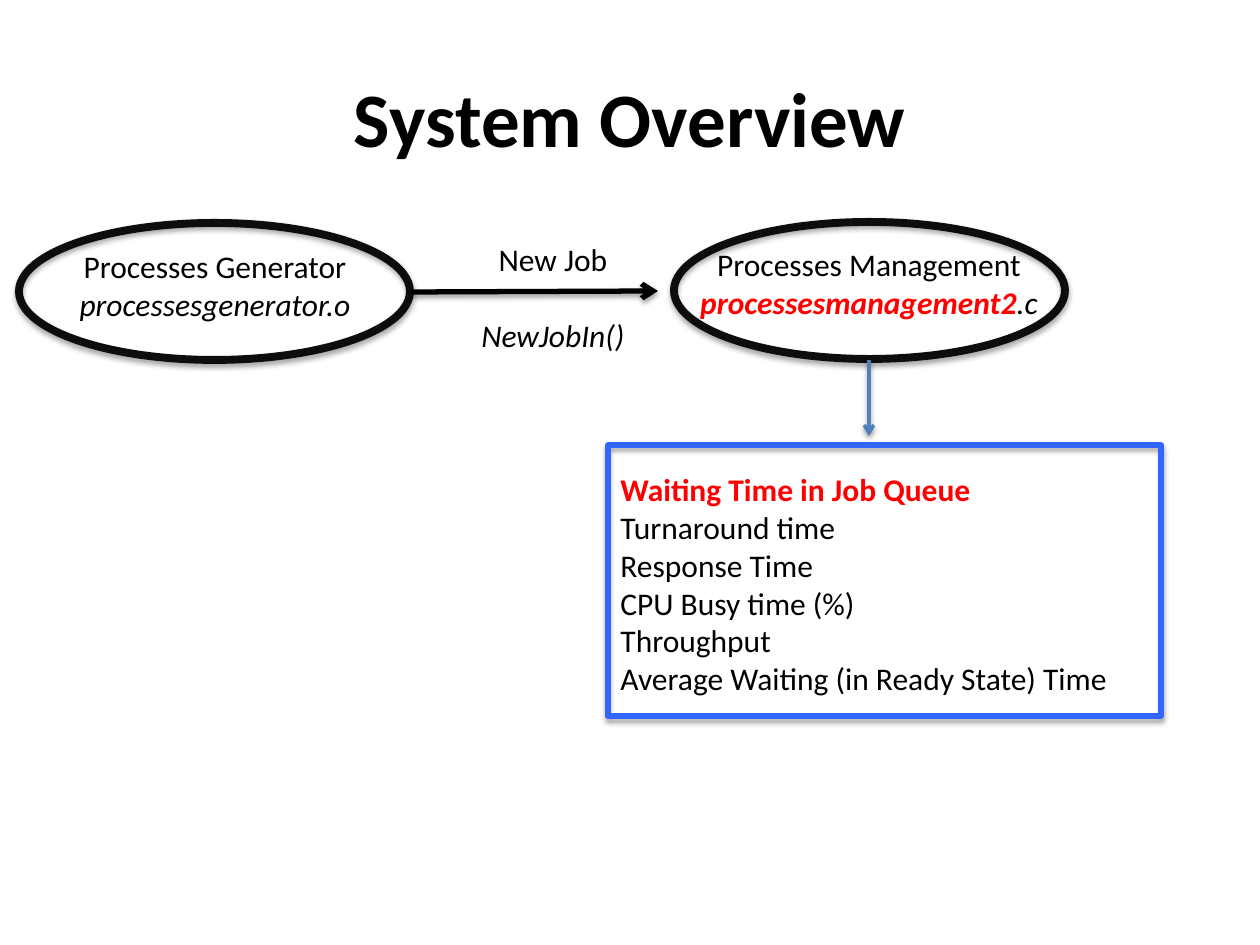
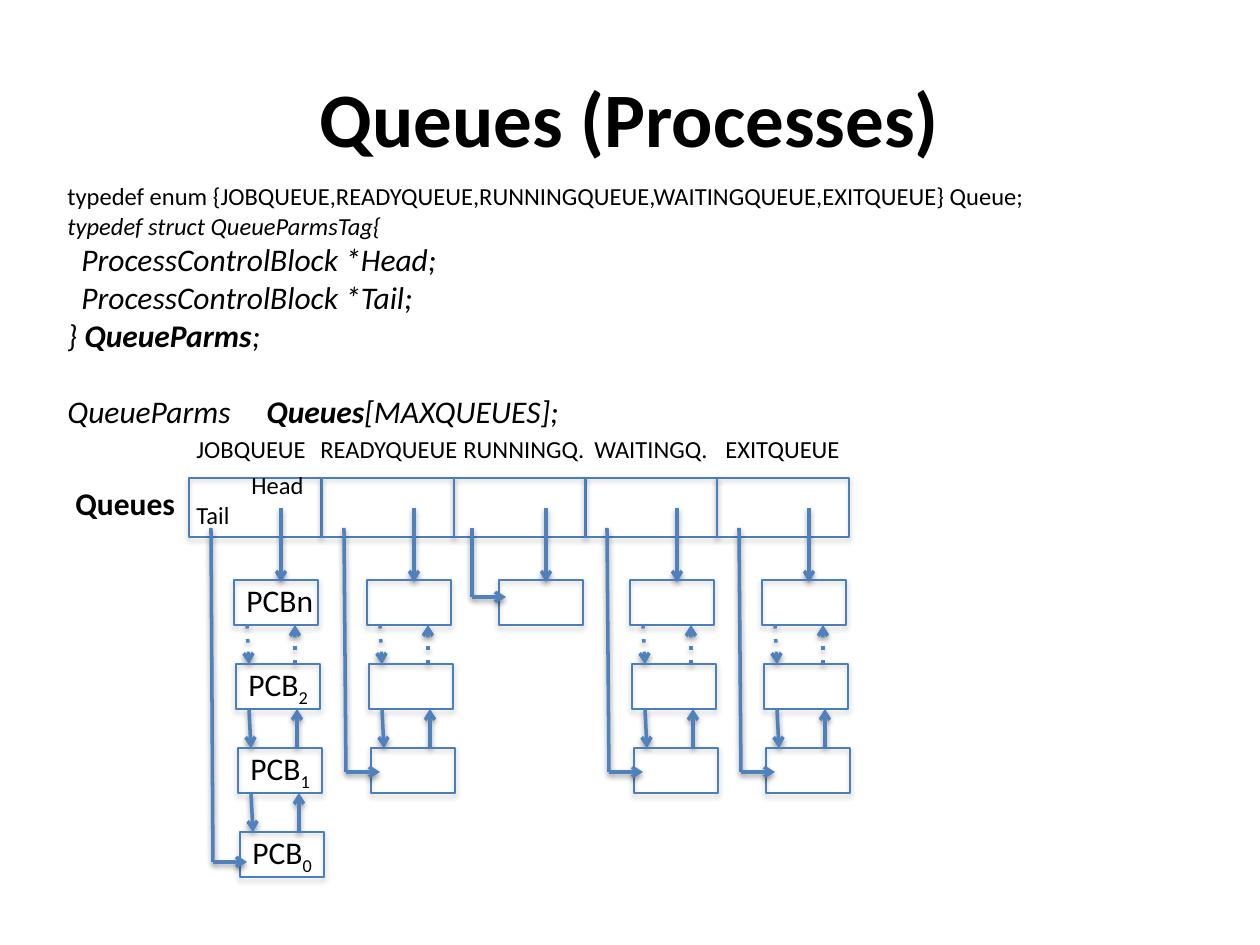
"""Builds two slides: a system overview and the process queues."""
import pptx
import pptx.dml.color
import pptx.enum.shapes
import pptx.enum.text
import pptx.oxml.ns
import pptx.util
from lxml import etree

SCALE = 914400 / 126
FONT = "Calibri"
BLACK, RED, BLUE, EDGE = "000000", "FF0000", "4F81BD", "4B7EBC"
RING, FRAME = "0D0D0D", "3366FF"
BLANK_ROW = 22  # height in points of one 18 pt line
LEFT = pptx.enum.text.PP_ALIGN.LEFT
MID = pptx.enum.text.PP_ALIGN.CENTER
RECT = pptx.enum.shapes.MSO_SHAPE.RECTANGLE
OVAL = pptx.enum.shapes.MSO_SHAPE.OVAL


def px(num):
    """Turn pixels into EMU."""
    return pptx.util.Emu(round(num * SCALE))


def color(code):
    """Turn a hex string into a colour."""
    return pptx.dml.color.RGBColor.from_string(code)


def child(node, tag, **attrs):
    """Add a drawing element with the given attributes."""
    return etree.SubElement(node, pptx.oxml.ns.qn("a:" + tag), attrs)


def row(*runs, size=None, gap=0, indent=0, tab=0):
    """Describe one paragraph; a run is a string or (string, flags)."""
    runs = [(run, "") if isinstance(run, str) else run for run in runs]
    return dict(runs=runs, size=size, gap=gap, indent=indent, tab=tab)


class Deck:
    """Holds the style and the current slide."""

    def __init__(self):
        """Start an empty deck."""
        self.show = pptx.Presentation()
        self.show.slide_width, self.show.slide_height = px(1260), px(945)
        self.slide = None

    def page(self, title):
        """Start a slide with its title."""
        self.slide = self.show.slides.add_slide(self.show.slide_layouts[6])
        frame = self.text(63, 38, 1134, 158, [row((title, "b"))], 44, MID)
        frame.auto_size = pptx.enum.text.MSO_AUTO_SIZE.NONE
        frame.word_wrap = True
        frame.vertical_anchor = pptx.enum.text.MSO_ANCHOR.MIDDLE

    def text(self, x, y, wide, high, rows, size=18, align=LEFT):
        """Add a text box; run flags: b bold, i italic, r red, s subscript."""
        box = self.slide.shapes.add_textbox(px(x), px(y), px(wide), px(high))
        frame = box.text_frame
        frame.word_wrap = False
        frame.auto_size = pptx.enum.text.MSO_AUTO_SIZE.SHAPE_TO_FIT_TEXT
        for at, item in enumerate(rows):
            para = frame.add_paragraph() if at else frame.paragraphs[0]
            para.alignment = align
            if item["gap"]:
                para.space_before = pptx.util.Pt(item["gap"])
            props = para._p.get_or_add_pPr()
            if item["indent"]:
                props.set("marL", str(px(item["indent"])))
            if item["tab"]:
                child(child(props, "tabLst"), "tab",
                      pos=str(px(item["tab"])), algn="l")
            for words, flags in item["runs"]:
                run = para.add_run()
                run.text = words
                font = run.font
                font.name = FONT
                font.size = pptx.util.Pt(item["size"] or size)
                font.bold, font.italic = "b" in flags, "i" in flags
                font.color.rgb = color(RED if "r" in flags else BLACK)
                if "s" in flags:
                    run._r.get_or_add_rPr().set("baseline", "-25000")
        return frame

    def shade(self, effect, alpha, dist):
        """Fill an effect list with the soft shadow below."""
        drop = child(effect, "outerShdw", blurRad="40000", dist=str(dist),
                     dir="5400000", rotWithShape="0")
        child(child(drop, "srgbClr", val=BLACK), "alpha", val=str(alpha))

    def shape(self, kind, x, y, wide, high, edge=EDGE, width=0.75):
        """Add an outlined shape without a fill."""
        item = self.slide.shapes.add_shape(
            kind, px(x), px(y), px(wide), px(high))
        item.fill.background()
        item.line.color.rgb = color(edge)
        item.line.width = pptx.util.Pt(width)
        item.shadow.inherit = False
        effect = item._element.spPr.find(pptx.oxml.ns.qn("a:effectLst"))
        self.shade(effect, 35000, 23000)

    def line(self, x, y, to_x, to_y, ink=BLUE, width=2, head=True, dots=False):
        """Add a straight line, with an arrowhead at its end by default."""
        item = self.slide.shapes.add_connector(
            pptx.enum.shapes.MSO_CONNECTOR.STRAIGHT,
            px(x), px(y), px(to_x), px(to_y))
        item.line.color.rgb = color(ink)
        item.line.width = pptx.util.Pt(width)
        stroke = item.line._get_or_add_ln()
        if dots:
            child(stroke, "prstDash", val="dot")
        if head:
            child(stroke, "tailEnd", type="arrow")
        self.shade(child(item._element.spPr, "effectLst"), 38000, 20000)

    def queue(self, left, count, tail, end):
        """Draw a queue cell, its chain of blocks and both pointers."""
        self.shape(RECT, left, 478, 132, 59)
        self.line(left + 92, 508, left + 92, 582)
        for at in range(count):
            x, y = left + 45 + 2 * at, 580 + 84 * at
            self.shape(RECT, x, y, 84, 45)
            if at < count - 1:
                self.line(x + 13, y + 45, x + 15, y + 84, dots=at == 0)
                self.line(x + 61, y + 84, x + 61, y + 45, dots=at == 0)
        bend = left + tail + (2 if count > 1 else 0)
        self.line(left + tail, 528, bend, end, head=False)
        self.line(bend, end, bend + 34, end)


deck = Deck()

deck.page("System Overview")
deck.shape(OVAL, 19, 223, 391, 137, RING, 4.5)
deck.text(60, 241, 310, 89, [
    row("Processes Generator"), row(("processesgenerator.o", "i"))],
    align=MID)
deck.shape(OVAL, 674, 222, 391, 137, RING, 4.5)
deck.text(682, 239, 374, 89, [
    row("Processes Management"),
    row(("processesmanagement2", "bir"), (".c", "i"))], align=MID)
deck.line(411, 292, 658, 291, BLACK, 3)
deck.text(464, 234, 178, 127, [
    row("New Job"), row(("NewJobIn()", "i"), gap=BLANK_ROW)], align=MID)
deck.line(869, 360, 869, 436)
deck.shape(RECT, 608, 445, 553, 271, FRAME, 3)
deck.text(608, 464, 522, 280, [
    row(("Waiting Time in Job Queue", "br")), row("Turnaround time"),
    row("Response Time"), row("CPU Busy time (%)"), row("Throughput"),
    row("Average Waiting (in Ready State) Time")])

deck.page("Queues (Processes)")
deck.text(55, 175, 1000, 263, [
    row("typedef enum {JOBQUEUE,READYQUEUE,RUNNINGQUEUE,WAITINGQUEUE,"
        "EXITQUEUE} Queue;", size=14),
    row(("typedef struct QueueParmsTag{", "i"), size=14),
    row(("ProcessControlBlock *Head;", "i"), indent=14),
    row(("ProcessControlBlock *Tail;", "i"), indent=14),
    row(("} ", "i"), ("QueueParms", "bi"), (";", "i")),
    row(("QueueParms\t", "i"), ("Queues", "bi"), ("[MAXQUEUES];", "i"),
        gap=BLANK_ROW, tab=199)])
deck.text(63, 478, 126, 50, [row(("Queues", "b"))])

# name, name left, name width, cell left, blocks, tail offset, tail end
QUEUES = [
    ("JOBQUEUE", 184, 136, 189, 4, 22, 862),
    ("READYQUEUE", 308, 165, 322, 3, 22, 772),
    ("RUNNINGQ.", 451, 147, 454, 1, 18, 597),
    ("WAITINGQ.", 582, 141, 585, 3, 22, 772),
    ("EXITQUEUE", 713, 141, 717, 3, 22, 772),
]
for name, x, wide, *cell in QUEUES:
    deck.text(x, 428, wide, 43, [row(name)], 14)
    deck.queue(*cell)

deck.text(184, 464, 134, 72, [row("Head", indent=55), row("Tail")], 14)
LABELS = [row("PCBn")] + [row("PCB", (mark, "s")) for mark in "210"]
for at, label in enumerate(LABELS):
    deck.text(234 + 2 * at, 575 + 84 * at, 96, 50, [label])

deck.show.save("out.pptx")
